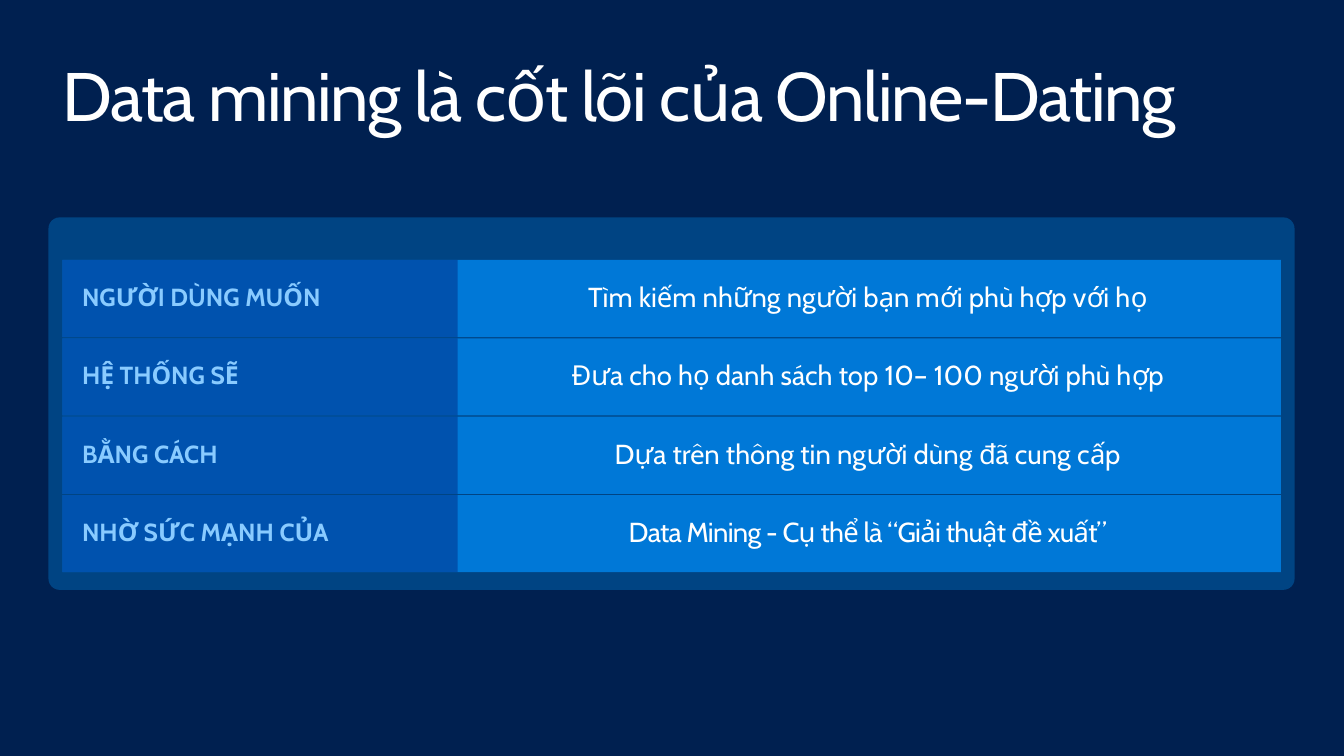
"""Build the slide on data mining as the core of online dating."""
import pptx
import pptx.dml.color
import pptx.enum.shapes
import pptx.enum.text
import pptx.oxml
import pptx.oxml.ns
import pptx.util

Pt = pptx.util.Pt
RGBColor = pptx.dml.color.RGBColor
MSO_SHAPE = pptx.enum.shapes.MSO_SHAPE
MSO_ANCHOR = pptx.enum.text.MSO_ANCHOR
PP_ALIGN = pptx.enum.text.PP_ALIGN

TITLE = "Data mining là cốt lõi của Online-Dating"
ROWS = [
    ("NGƯỜI DÙNG MUỐN", "Tìm kiếm những người bạn mới phù hợp với họ", 0),
    ("HỆ THỐNG SẼ", "Đưa cho họ danh sách top 10– 100 người phù hợp", 0),
    ("BẰNG CÁCH", "Dựa trên thông tin người dùng đã cung cấp", 0),
    ("NHỜ SỨC MẠNH CỦA", "Data Mining - Cụ thể là “Giải thuật đề xuất”", -0.5),
]

FONT = "Cabin"
NAVY = RGBColor(0x00, 0x20, 0x50)
PANEL_BLUE = RGBColor(0x00, 0x70, 0xC0)
ROW_BLUE = RGBColor(0x00, 0x78, 0xD7)
LABEL_BLUE = RGBColor(0x00, 0x2D, 0x86)
LABEL_TEXT = RGBColor(0x89, 0xCB, 0xFF)
WHITE = RGBColor(0xFF, 0xFF, 0xFF)

ROW_LEFT, ROW_TOP, ROW_W, ROW_H, ROW_PITCH = 45.4, 189.4, 887.8, 56.2, 57.1
LABEL_W = 288
VALUE_LEFT, VALUE_W = 348.5, 567.4
LABEL_H, VALUE_H = 51.8, 53.3


def add_block(shapes, kind, box, color, opacity=100):
    sp = shapes.add_shape(kind, *map(Pt, box))
    sp.shadow.inherit = False
    sp.line.fill.background()
    sp.fill.solid()
    sp.fill.fore_color.rgb = color
    if opacity < 100:
        clr = sp.fill._xPr.find(".//" + pptx.oxml.ns.qn("a:srgbClr"))
        alpha = pptx.oxml.parse_xml(
            f'<a:alpha {pptx.oxml.ns.nsdecls("a")} val="{opacity * 1000}"/>')
        clr.append(alpha)
    return sp


def add_text(shapes, box, text, size, color, margins, bold=False, spacing=0,
             align=PP_ALIGN.LEFT, anchor=MSO_ANCHOR.MIDDLE):
    tf = shapes.add_textbox(*map(Pt, box)).text_frame
    tf.word_wrap = True
    tf.vertical_anchor = anchor
    tf.margin_left = tf.margin_right = Pt(margins[0])
    tf.margin_top = tf.margin_bottom = Pt(margins[1])
    p = tf.paragraphs[0]
    p.alignment = align
    p.line_spacing = 0.9
    r = p.add_run()
    r.text = text
    r.font.name = FONT
    r.font.size = Pt(size)
    r.font.bold = bold
    r.font.color.rgb = color
    if spacing:
        r.font._element.set("spc", str(round(spacing * 100)))


def add_row(slide, index, label, value, spacing):
    top = ROW_TOP + index * ROW_PITCH
    middle = top + ROW_H / 2
    shapes = slide.shapes.add_group_shape().shapes
    add_block(shapes, MSO_SHAPE.RECTANGLE, (ROW_LEFT, top, ROW_W, ROW_H), ROW_BLUE)
    add_block(shapes, MSO_SHAPE.RECTANGLE, (ROW_LEFT, top, LABEL_W, ROW_H),
              LABEL_BLUE, opacity=50)
    add_text(shapes, (VALUE_LEFT, middle - VALUE_H / 2, VALUE_W, VALUE_H), value,
             20, WHITE, (14.4, 11.5), spacing=spacing, align=PP_ALIGN.CENTER)
    add_text(shapes, (ROW_LEFT, middle - LABEL_H / 2, LABEL_W, LABEL_H), label,
             18, LABEL_TEXT, (14.4, 11.5), bold=True)


def main():
    prs = pptx.Presentation()
    prs.slide_width, prs.slide_height = Pt(979.2), Pt(550.8)
    s = prs.slides.add_slide(prs.slide_layouts[6])
    s.background.fill.solid()
    s.background.fill.fore_color.rgb = NAVY

    add_text(s.shapes, (33.8, 38.2, 918, 72), TITLE, 50, WHITE, (11.5, 7.2),
             spacing=-1, anchor=MSO_ANCHOR.TOP)
    panel = add_block(s.shapes, MSO_SHAPE.ROUNDED_RECTANGLE,
                      (35.3, 158.4, 907.9, 271.4), PANEL_BLUE, opacity=46)
    panel.adjustments[0] = 0.03
    for index, row in enumerate(ROWS):
        add_row(s, index, *row)
    prs.save("out.pptx")


if __name__ == "__main__":
    main()
